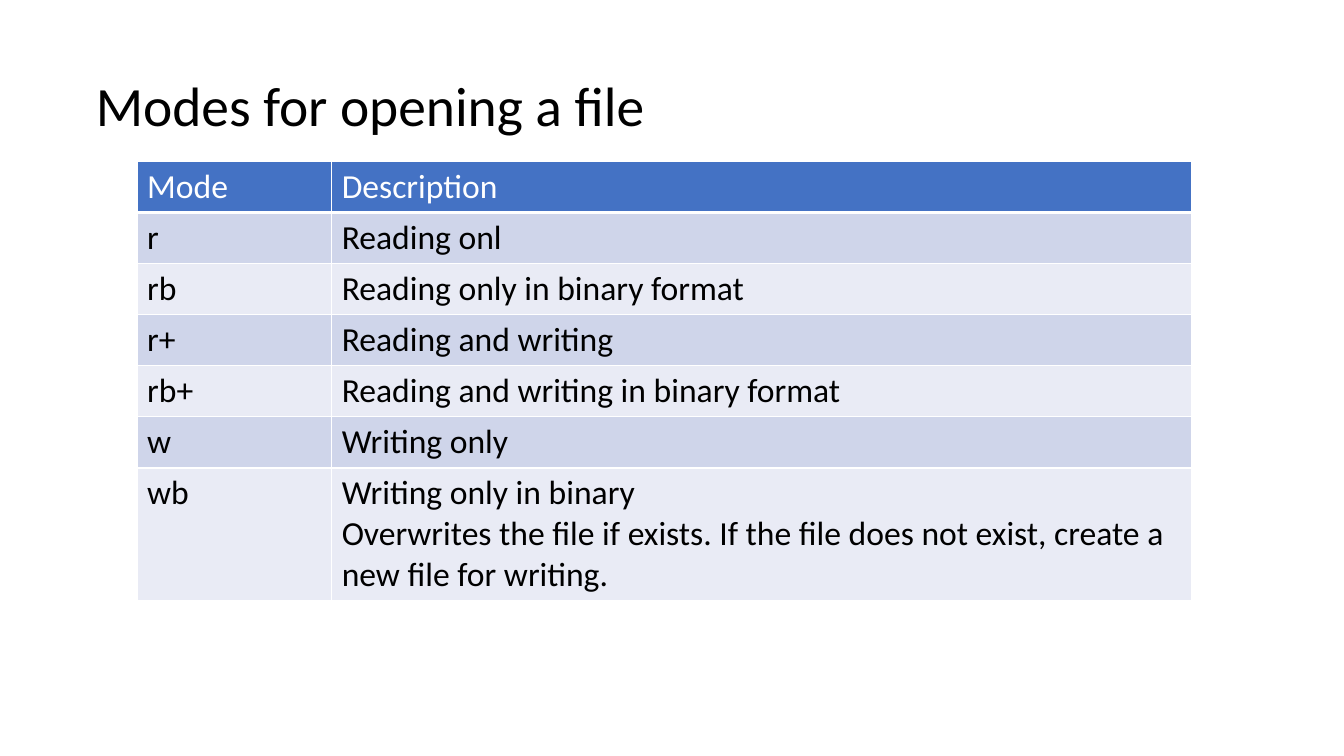
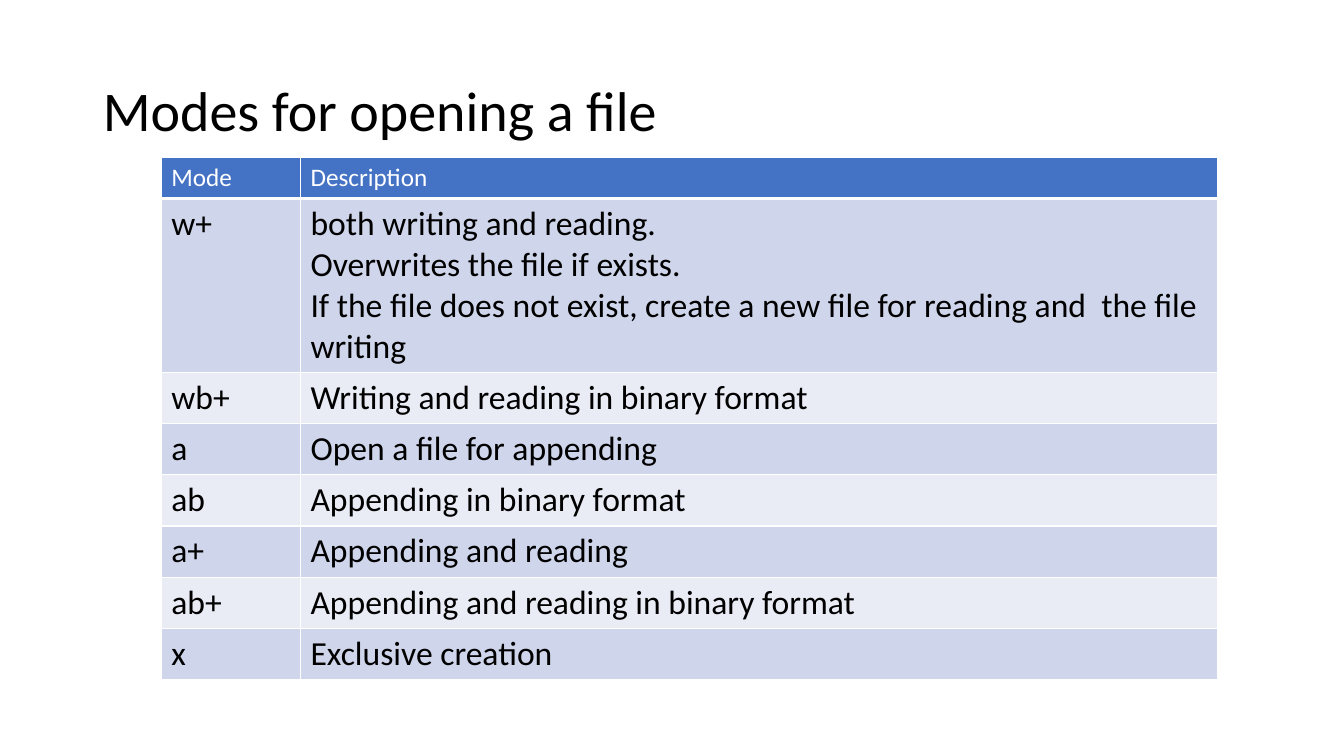
from dataclasses import dataclass

from lxml import etree
from pptx import Presentation
from pptx.dml.color import RGBColor
from pptx.enum.text import MSO_ANCHOR, MSO_AUTO_SIZE, PP_ALIGN
from pptx.oxml.ns import qn
from pptx.util import Inches, Pt

FONT = "Calibri"
BLACK = RGBColor(0x00, 0x00, 0x00)
WHITE = RGBColor(0xFF, 0xFF, 0xFF)
HEADER_BLUE = RGBColor(0x44, 0x72, 0xC4)
BANDS = (RGBColor(0xCF, 0xD5, 0xEA), RGBColor(0xE9, 0xEB, 0xF5))

LEFT = PP_ALIGN.LEFT
MIDDLE = MSO_ANCHOR.MIDDLE
NO_AUTOFIT = MSO_AUTO_SIZE.NONE

TITLE_ONLY = 5
TITLE = "Modes for opening a file"
HEADINGS = ("Mode", "Description")
ROW_HEIGHT = 0.41
BODY_SIZE = 24
THIN, THICK = 1, 3


@dataclass(frozen=True)
class Box:
    left: float
    top: float
    width: float
    height: float


@dataclass(frozen=True)
class ModeSlide:
    title_box: Box
    title_size: float
    table_left: float
    table_top: float
    column_widths: tuple[float, float]
    header_size: float
    modes: tuple[tuple[str, str], ...]


SLIDES = (
    ModeSlide(
        title_box=Box(0.85, 0.83, 11.5, 0.5),
        title_size=39.6,
        table_left=1.36,
        table_top=1.6,
        column_widths=(1.93, 8.53),
        header_size=24,
        modes=(
            ("r", "Reading onl"),
            ("rb", "Reading only in binary format"),
            ("r+", "Reading and writing"),
            ("rb+", "Reading and writing in binary format"),
            ("w", "Writing only"),
            ("wb", "Writing only in binary\n"
                   "Overwrites the file if exists. If the file does not exist, "
                   "create a new file for writing."),
        ),
    ),
    ModeSlide(
        title_box=Box(0.92, 0.4, 11.5, 1.45),
        title_size=40,
        table_left=1.6,
        table_top=1.56,
        column_widths=(1.38, 9.1),
        header_size=18,
        modes=(
            ("w+", "both writing and reading.\n"
                   "Overwrites the file if exists.\n"
                   "If the file does not exist, create a new file for reading "
                   "and  the file writing"),
            ("wb+", "Writing and reading in binary format"),
            ("a", "Open a file for appending"),
            ("ab", "Appending in binary format"),
            ("a+", "Appending and reading"),
            ("ab+", "Appending and reading in binary format"),
            ("x", "Exclusive creation"),
        ),
    ),
)


def style_text(text_frame, size: float, color: RGBColor) -> None:
    for paragraph in text_frame.paragraphs:
        for run in paragraph.runs:
            run.font.name = FONT
            run.font.size = Pt(size)
            run.font.bold = False
            run.font.color.rgb = color


def add_borders(cell, bottom_width: float) -> None:
    """Draw white cell borders; call before the fill, which must follow them."""
    properties = cell._tc.get_or_add_tcPr()
    widths = {"a:lnL": THIN, "a:lnR": THIN, "a:lnT": THIN, "a:lnB": bottom_width}
    for tag, width in widths.items():
        line = etree.SubElement(properties, qn(tag), w=str(Pt(width)))
        fill = etree.SubElement(line, qn("a:solidFill"))
        etree.SubElement(fill, qn("a:srgbClr"), val=str(WHITE))


def add_title(slide, box: Box, size: float) -> None:
    title = slide.shapes.title
    title.left, title.top = Inches(box.left), Inches(box.top)
    title.width, title.height = Inches(box.width), Inches(box.height)
    frame = title.text_frame
    frame.text = TITLE
    frame.word_wrap = True
    frame.auto_size = NO_AUTOFIT
    frame.vertical_anchor = MIDDLE
    frame.paragraphs[0].alignment = LEFT
    frame.paragraphs[0].line_spacing = 0.9
    style_text(frame, size, BLACK)


def add_mode_table(slide, content: ModeSlide) -> None:
    rows = (HEADINGS, *content.modes)
    table = slide.shapes.add_table(
        len(rows), len(HEADINGS),
        Inches(content.table_left), Inches(content.table_top),
        Inches(sum(content.column_widths)), Inches(ROW_HEIGHT * len(rows)),
    ).table
    for column, width in zip(table.columns, content.column_widths):
        column.width = Inches(width)

    for row_index, row in enumerate(rows):
        is_header = row_index == 0
        table.rows[row_index].height = Inches(ROW_HEIGHT)
        for column_index, text in enumerate(row):
            cell = table.cell(row_index, column_index)
            cell.text_frame.text = text
            add_borders(cell, THICK if is_header else THIN)
            cell.fill.solid()
            if is_header:
                cell.fill.fore_color.rgb = HEADER_BLUE
                style_text(cell.text_frame, content.header_size, WHITE)
            else:
                cell.fill.fore_color.rgb = BANDS[(row_index - 1) % len(BANDS)]
                style_text(cell.text_frame, BODY_SIZE, BLACK)


def main() -> None:
    presentation = Presentation()
    presentation.slide_width = Inches(13.33)
    presentation.slide_height = Inches(7.5)
    for content in SLIDES:
        slide = presentation.slides.add_slide(presentation.slide_layouts[TITLE_ONLY])
        add_title(slide, content.title_box, content.title_size)
        add_mode_table(slide, content)
    presentation.save("out.pptx")


if __name__ == "__main__":
    main()
